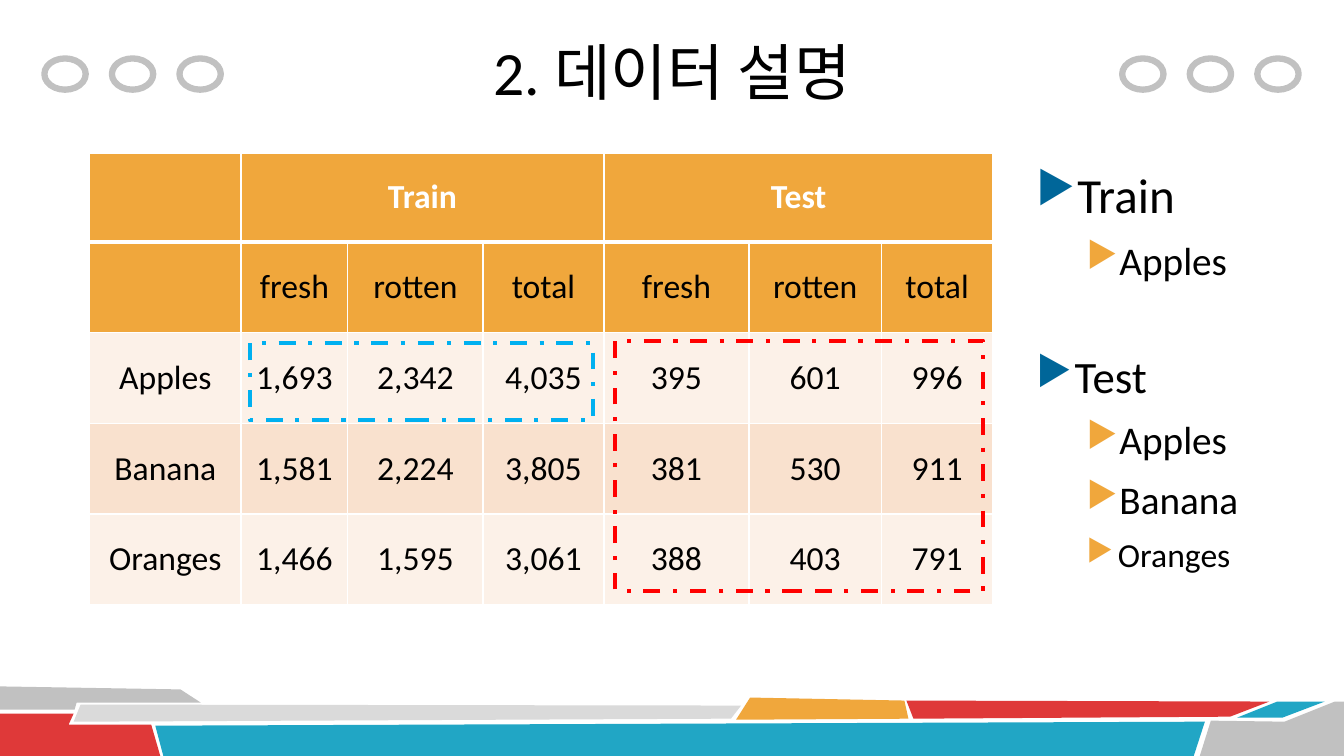
from dataclasses import dataclass
from lxml.etree import SubElement as Sub
from pptx import Presentation
from pptx.dml.color import RGBColor as RGB
from pptx.enum.dml import MSO_LINE as Dash
from pptx.enum.shapes import MSO_SHAPE as Kind
from pptx.enum.text import MSO_ANCHOR as Anchor, PP_ALIGN as Align
from pptx.oxml.ns import qn
from pptx.util import Inches, Pt


@dataclass(frozen=True)
class Theme:
    font: str = "Calibri"
    black: str = "000000"
    white: str = "FFFFFF"
    gray: str = "C1C1C1"
    pale: str = "DADADA"
    red: str = "DF3939"
    teal: str = "21A6C5"
    gold: str = "F0A73C"
    navy: str = "006699"
    light: str = "FCF1E8"
    peach: str = "F9E1CE"
    alert: str = "FF0000"
    sky: str = "00B0F0"
    title: int = 44
    cell: int = 24


T = Theme()

TITLE = "2. 데이터 설명"
GRID = [
    ("", "Train", "", "", "Test", "", ""),
    ("", "fresh", "rotten", "total", "fresh", "rotten", "total"),
    ("Apples", "1,693", "2,342", "4,035", "395", "601", "996"),
    ("Banana", "1,581", "2,224", "3,805", "381", "530", "911"),
    ("Oranges", "1,466", "1,595", "3,061", "388", "403", "791"),
]
COLS = [1.5, 1.06, 1.34, 1.2, 1.44, 1.31, 1.11]
ROWS = [0.88, 0.9, 0.9, 0.9, 0.9]
FILLS = [T.gold, T.gold, T.light, T.peach, T.light]
# text, level, size, extra points above
ITEMS = [
    ("Train", 0, 35, 0),
    ("Apples", 1, 28, 0),
    ("Test", 0, 32, 37),
    ("Apples", 1, 28, 0),
    ("Banana", 1, 28, 0),
    ("Oranges", 1, 24, 0),
]
# indent and bullet colour of each level
LEVELS = [(0.38, 0.38, T.navy), (0.81, 0.31, T.gold)]
FRAMES = [
    (6.1, 3.38, 3.65, 2.48, T.alert),
    (2.48, 3.4, 3.4, 0.77, T.sky),
]
STONES = [
    (T.gray, [(0, 6.81), (1.79, 6.84), (1.99, 6.97), (0.76, 6.97),
              (0.74, 7.04), (0, 7.04)]),
    (T.red, [(0, 7.08), (0.73, 7.08), (0.68, 7.19), (1.5, 7.19),
             (1.59, 7.5), (0, 7.5)]),
    (T.pale, [(0.8, 6.99), (7.35, 7), (7.25, 7.13), (0.73, 7.16)]),
    (T.teal, [(1.54, 7.2), (11.95, 7.16), (11.84, 7.5), (1.62, 7.5)]),
    (T.gold, [(7.44, 6.92), (8.97, 6.95), (9.01, 7.13), (7.3, 7.14)]),
    (T.red, [(8.99, 6.95), (12.59, 6.96), (12.2, 7.11), (9.06, 7.13)]),
    (T.teal, [(12.67, 6.96), (13.14, 6.96), (12.72, 7.12), (12.27, 7.12)]),
    (T.gray, [(12.01, 7.15), (12.74, 7.16), (13.24, 6.96), (13.33, 6.96),
              (13.33, 7.5), (11.9, 7.5)]),
]
RINGS = [0.44, 11.13]
STEP = 0.67


def color(code):
    return RGB.from_string(code)


def write(para, text, size, ink=T.black, bold=False):
    run = para.add_run()
    run.text = text
    font = run.font
    font.name, font.size, font.bold = T.font, Pt(size), bold
    font.color.rgb = color(ink)


def add_stone(shapes, fill, points):
    spots = [(Inches(x), Inches(y)) for x, y in points]
    pen = shapes.build_freeform(*spots[0], scale=1.0)
    pen.add_line_segments(spots[1:], close=True)
    stone = pen.convert_to_shape()
    stone.shadow.inherit = False
    stone.fill.solid()
    stone.fill.fore_color.rgb = color(fill)
    stone.line.fill.background()


def add_ring(shapes, kind, box, ink, width):
    """Add an unfilled preset shape with an outline."""
    ring = shapes.add_shape(kind, *map(Inches, box))
    ring.shadow.inherit = False
    ring.fill.background()
    ring.line.color.rgb = color(ink)
    ring.line.width = Pt(width)
    return ring


def set_edges(cell, base):
    """Draw white borders, with the bottom one base points wide."""
    props = cell._tc.get_or_add_tcPr()
    for side, width in (("L", 1), ("R", 1), ("T", 1), ("B", base)):
        edge = Sub(props, qn("a:ln" + side), w=str(Pt(width)))
        Sub(Sub(edge, qn("a:solidFill")), qn("a:srgbClr"), val=T.white)


def add_grid(shapes):
    box = map(Inches, (0.89, 1.52, sum(COLS), sum(ROWS)))
    table = shapes.add_table(len(ROWS), len(COLS), *box).table
    table.horz_banding = False
    for col, width in zip(table.columns, COLS):
        col.width = Inches(width)
    for r, (height, fill, texts) in enumerate(zip(ROWS, FILLS, GRID)):
        table.rows[r].height = Inches(height)
        head = r == 0
        for c, text in enumerate(texts):
            cell = table.cell(r, c)
            set_edges(cell, 3 if head else 1)
            cell.fill.solid()
            cell.fill.fore_color.rgb = color(fill)
            cell.vertical_anchor = Anchor.MIDDLE
            if text:
                para = cell.text_frame.paragraphs[0]
                para.alignment = Align.CENTER
                write(para, text, T.cell, T.white if head else T.black, head)
    for c in (1, 4):
        table.cell(0, c).merge(table.cell(0, c + 2))


def add_list(shapes):
    frame = shapes.add_textbox(*map(Inches, (10.18, 1.52, 2.81, 4.47))).text_frame
    frame.word_wrap = True
    for i, (text, level, size, gap) in enumerate(ITEMS):
        para = frame.add_paragraph() if i else frame.paragraphs[0]
        para.level = level
        para.line_spacing = 1.1
        para.space_before = Pt(round(size * 0.2 + gap))
        left, hang, ink = LEVELS[level]
        props = para._p.get_or_add_pPr()
        props.set("marL", str(Inches(left)))
        props.set("indent", str(-Inches(hang)))
        Sub(Sub(props, qn("a:buClr")), qn("a:srgbClr"), val=ink)
        Sub(props, qn("a:buSzPct"), val="90000")
        Sub(props, qn("a:buChar"), char="▶")
        write(para, text, size)


def main():
    deck = Presentation()
    deck.slide_width, deck.slide_height = Inches(13.33), Inches(7.5)
    slide = deck.slides.add_slide(deck.slide_layouts[5])
    shapes = slide.shapes
    for fill, points in STONES:
        add_stone(shapes, fill, points)
    for start in RINGS:
        for i in range(3):
            box = (start + i * STEP, 0.58, 0.41, 0.31)
            add_ring(shapes, Kind.OVAL, box, T.gray, 4.5)

    title = shapes.title
    title.left, title.top, title.width, title.height = map(
        Inches, (2.19, 0.08, 8.96, 1.25))
    title.text_frame.vertical_anchor = Anchor.MIDDLE
    para = title.text_frame.paragraphs[0]
    para.alignment = Align.CENTER
    write(para, TITLE, T.title)

    add_list(shapes)
    add_grid(shapes)
    for *box, ink in FRAMES:
        frame = add_ring(shapes, Kind.RECTANGLE, box, ink, 3)
        frame.line.dash_style = Dash.DASH_DOT
    deck.save("out.pptx")


if __name__ == "__main__":
    main()
